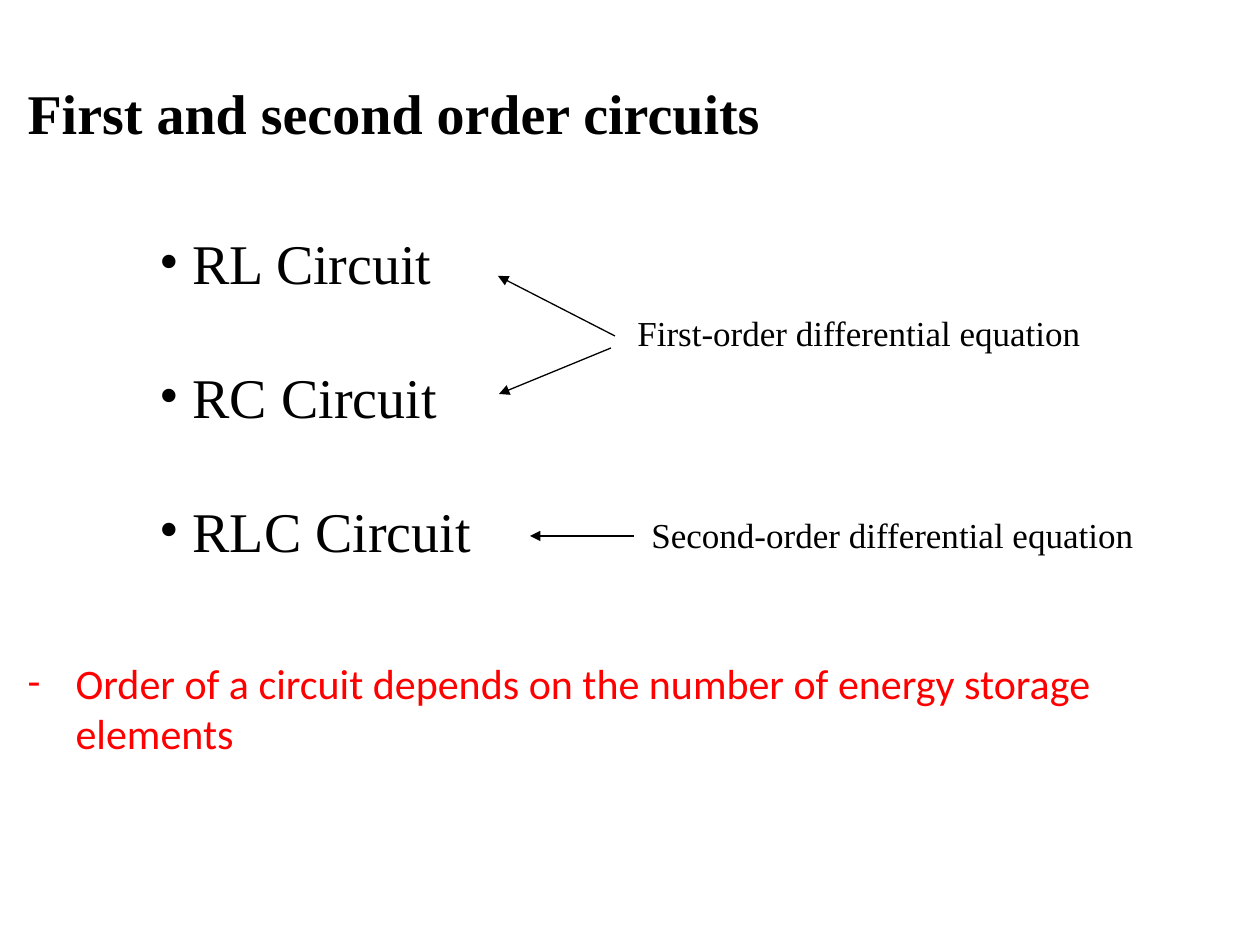
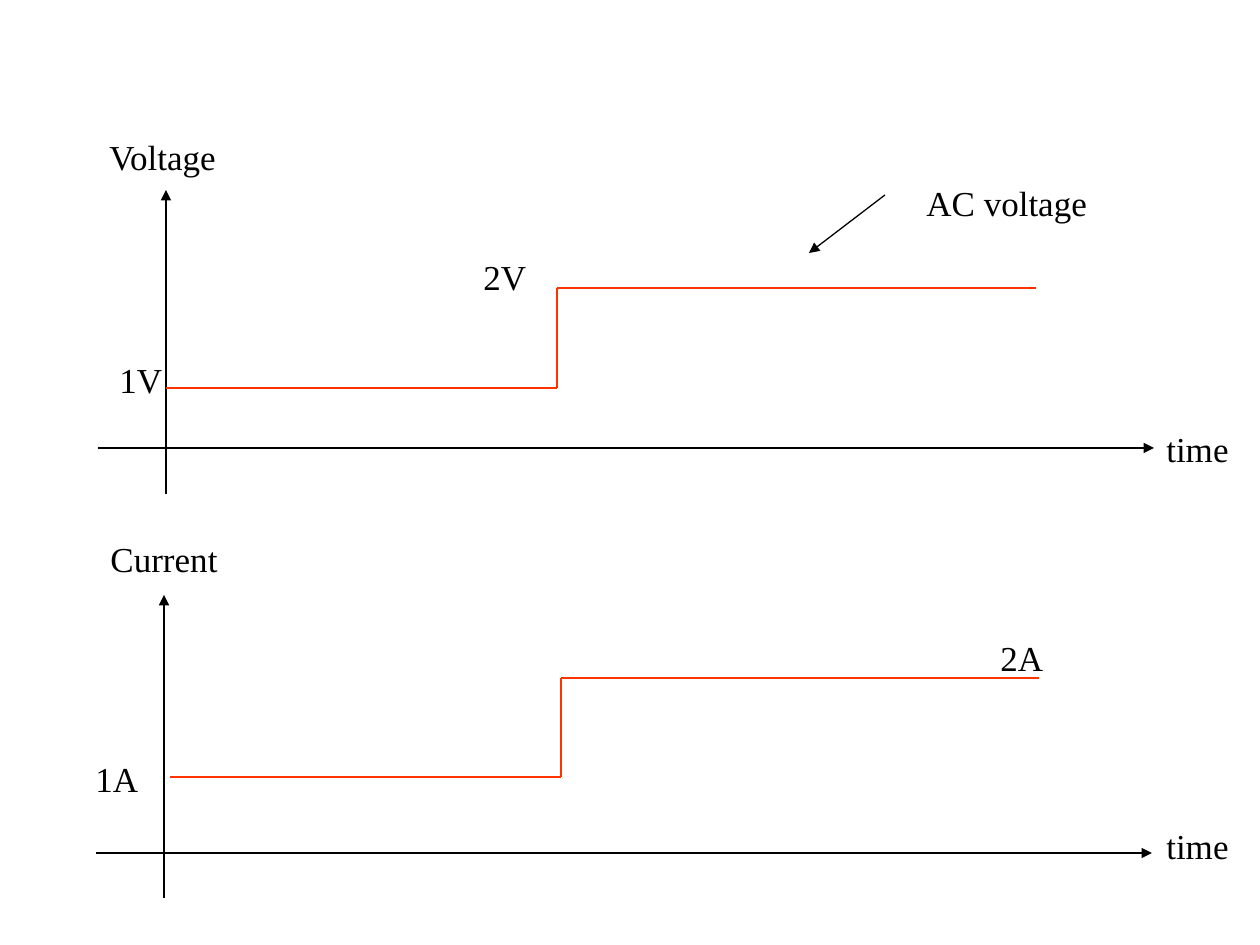
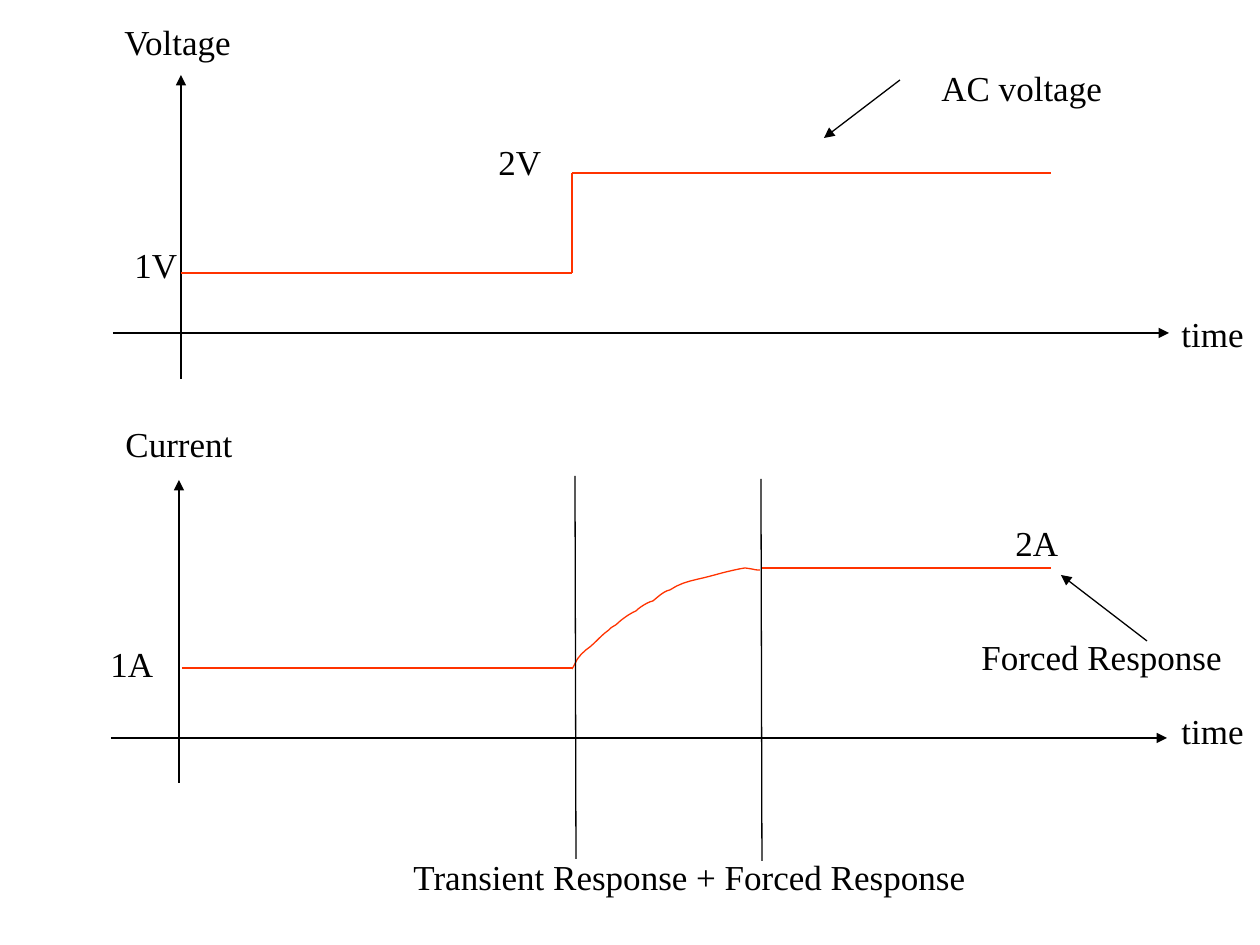
from itertools import pairwise

from lxml.etree import SubElement
from pptx import Presentation
from pptx.dml.color import RGBColor
from pptx.enum.shapes import MSO_CONNECTOR
from pptx.enum.text import MSO_ANCHOR, MSO_AUTO_SIZE as AutoSize, PP_ALIGN
from pptx.oxml.ns import qn
from pptx.util import Emu, Pt

# Shared style
PX_PER_INCH = 126
SERIF, SANS = "Times New Roman", "Calibri"
BLACK, RED, TRACE = "000000", "FF0000", "FF3300"
LABEL_HEIGHT = 54

# Slide 1: text, then labels (text, left, top, width) and arrows (start, end)
TITLE = "First and second order circuits"
CIRCUITS = ["RL Circuit", "RC Circuit", "RLC Circuit"]
CONCLUSION = ["Order of a circuit depends on the number of energy storage elements"]
ORDER_LABELS = [
    ("First-order differential equation", 625, 305, 507),
    ("Second-order differential equation", 639, 507, 542),
]
ORDER_ARROWS = [
    ((615, 336), (498, 276)),
    ((611, 348), (499, 394)),
    ((634, 536), (530, 536)),
]

# Slides 2 and 3: the two plots, moved as a whole on slide 3
PLOT_SHIFT = (15, -115)
PLOT_ARROWS = [
    ((166, 494), (166, 190)),
    ((98, 448), (1154, 448)),
    ((164, 898), (164, 595)),
    ((96, 853), (1152, 853)),
    ((885, 195), (809, 253)),
]
PLOT_LABELS = [
    ("Voltage", 97, 129, 140),
    ("Current", 98, 531, 147),
    ("time", 1154, 421, 91),
    ("time", 1154, 818, 91),
    ("1V", 107, 352, 68),
    ("2V", 471, 249, 68),
    ("1A", 83, 751, 68),
    ("2A", 988, 630, 68),
    ("AC voltage", 914, 175, 192),
]
VOLTAGE_STEP = [(166, 388), (557, 388), (557, 288), (1036, 288)]
CURRENT_STEP = [(170, 777), (561, 777), (561, 678), (1039, 678)]

# Slide 3: current response
STEADY_CURRENTS = [[(182, 668), (573, 668)], [(762, 568), (1051, 568)]]
TRANSIENT_GUIDES = [[(575, 476), (576, 859)], [(761, 479), (762, 861)]]
RESPONSE_LABELS = [
    ("Forced Response", 969, 629, 280),
    ("Transient Response + Forced Response", 401, 849, 611),
]
FORCED_ARROW = ((1147, 641), (1061, 575))
# Cubic curve: a start, then two control points and an end for each part
TRANSIENT_CURVE = [
    (572, 669),
    (575, 665), (576, 660), (580, 656),
    (582, 653), (582, 654), (586, 650),
    (595, 644), (600, 636), (609, 630),
    (611, 627), (615, 626), (617, 624),
    (621, 620), (629, 614), (636, 611),
    (640, 607), (648, 602), (653, 601),
    (658, 597), (664, 591), (670, 590),
    (683, 581), (697, 580), (711, 576),
    (722, 573), (733, 570), (745, 568),
    (759, 570), (753, 570), (760, 570),
]


def px(value):
    return Emu(round(value * 914400 / PX_PER_INCH))


def color(hex_string):
    return RGBColor.from_string(hex_string)


def shifted(points, shift):
    return [(x + shift[0], y + shift[1]) for x, y in points]


def add_run(paragraph, text, size, font=SERIF, fill=BLACK, bold=False):
    run = paragraph.add_run()
    run.text = text
    run.font.size, run.font.name, run.font.bold = Pt(size), font, bold
    run.font.color.rgb = color(fill)


def place(shape, left, top, width, height):
    shape.left, shape.top = px(left), px(top)
    shape.width, shape.height = px(width), px(height)
    frame = shape.text_frame
    frame.auto_size, frame.word_wrap = AutoSize.NONE, True
    frame.vertical_anchor = MSO_ANCHOR.TOP
    return frame


def fill_list(frame, items, bullet, indent, size, font, fill, line=None, gap=0):
    for index, item in enumerate(items):
        paragraph = frame.add_paragraph() if index else frame.paragraphs[0]
        paragraph.space_before = Pt(0)
        paragraph.space_after = Pt(gap if index < len(items) - 1 else 0)
        paragraph.line_spacing = line
        add_run(paragraph, item, size, font, fill)
        properties = paragraph._p.get_or_add_pPr()
        properties.set("marL", str(px(indent)))
        properties.set("indent", str(-px(indent)))
        SubElement(properties, qn("a:buFont"), typeface=font)
        SubElement(properties, qn("a:buChar"), char=bullet)


def add_labels(slide, labels, shift=(0, 0)):
    for text, left, top, width in labels:
        box = slide.shapes.add_textbox(px(left + shift[0]), px(top + shift[1]),
                                       px(width), px(LABEL_HEIGHT))
        frame = box.text_frame
        frame.word_wrap, frame.auto_size = False, AutoSize.SHAPE_TO_FIT_TEXT
        add_run(frame.paragraphs[0], text, 20)


def style_line(line, fill):
    line.color.rgb = color(fill)
    line.width = Pt(0.75)


def add_lines(slide, points, fill=BLACK, arrow=False):
    for (x1, y1), (x2, y2) in pairwise(points):
        connector = slide.shapes.add_connector(
            MSO_CONNECTOR.STRAIGHT, px(x1), px(y1), px(x2), px(y2))
        style_line(connector.line, fill)
        if arrow:
            SubElement(connector.line._get_or_add_ln(), qn("a:tailEnd"), type="triangle")
        SubElement(connector._element.spPr, qn("a:effectLst"))


def sample_curve(points, steps=6):
    samples = [points[0]]
    for first in range(0, len(points) - 1, 3):
        part = points[first:first + 4]
        for step in range(1, steps + 1):
            t = step / steps
            weights = ((1 - t) ** 3, 3 * t * (1 - t) ** 2, 3 * t * t * (1 - t), t ** 3)
            samples.append(tuple(sum(w * p[axis] for w, p in zip(weights, part))
                                 for axis in (0, 1)))
    return samples


def add_curve(slide, points):
    start, *rest = [(px(x), px(y)) for x, y in sample_curve(points)]
    builder = slide.shapes.build_freeform(*start)
    builder.add_line_segments(rest, close=False)
    curve = builder.convert_to_shape()
    curve.shadow.inherit = False
    curve.fill.background()
    style_line(curve.line, TRACE)


def add_plots(slide, shift=(0, 0)):
    for arrow in PLOT_ARROWS:
        add_lines(slide, shifted(arrow, shift), arrow=True)
    add_lines(slide, shifted(VOLTAGE_STEP, shift), TRACE)
    add_labels(slide, PLOT_LABELS, shift)


def build_orders(slide):
    title, circuits, conclusion = slide.placeholders
    frame = place(title, 15, 72, 1620, 81)
    frame.paragraphs[0].alignment = PP_ALIGN.LEFT
    add_run(frame.paragraphs[0], TITLE, 32, bold=True)
    fill_list(place(circuits, 147, 222, 363, 349), CIRCUITS, "•", 33,
              32, SERIF, BLACK, line=Pt(38.4), gap=38.2)
    fill_list(place(conclusion, 15, 651, 1230, 115), CONCLUSION, "-", 48,
              24, SANS, RED)
    add_labels(slide, ORDER_LABELS)
    for arrow in ORDER_ARROWS:
        add_lines(slide, arrow, arrow=True)


def build_step(slide):
    add_plots(slide)
    add_lines(slide, CURRENT_STEP, TRACE)


def build_response(slide):
    add_plots(slide, PLOT_SHIFT)
    for trace in STEADY_CURRENTS:
        add_lines(slide, trace, TRACE)
    add_curve(slide, TRANSIENT_CURVE)
    for guide in TRANSIENT_GUIDES:
        add_lines(slide, guide)
    add_lines(slide, FORCED_ARROW, arrow=True)
    add_labels(slide, RESPONSE_LABELS)


def main():
    presentation = Presentation()
    presentation.slide_width, presentation.slide_height = px(1260), px(945)
    two_content, blank = presentation.slide_layouts[3], presentation.slide_layouts[6]
    for layout, build in ((two_content, build_orders), (blank, build_step),
                          (blank, build_response)):
        build(presentation.slides.add_slide(layout))
    presentation.save("out.pptx")


if __name__ == "__main__":
    main()
